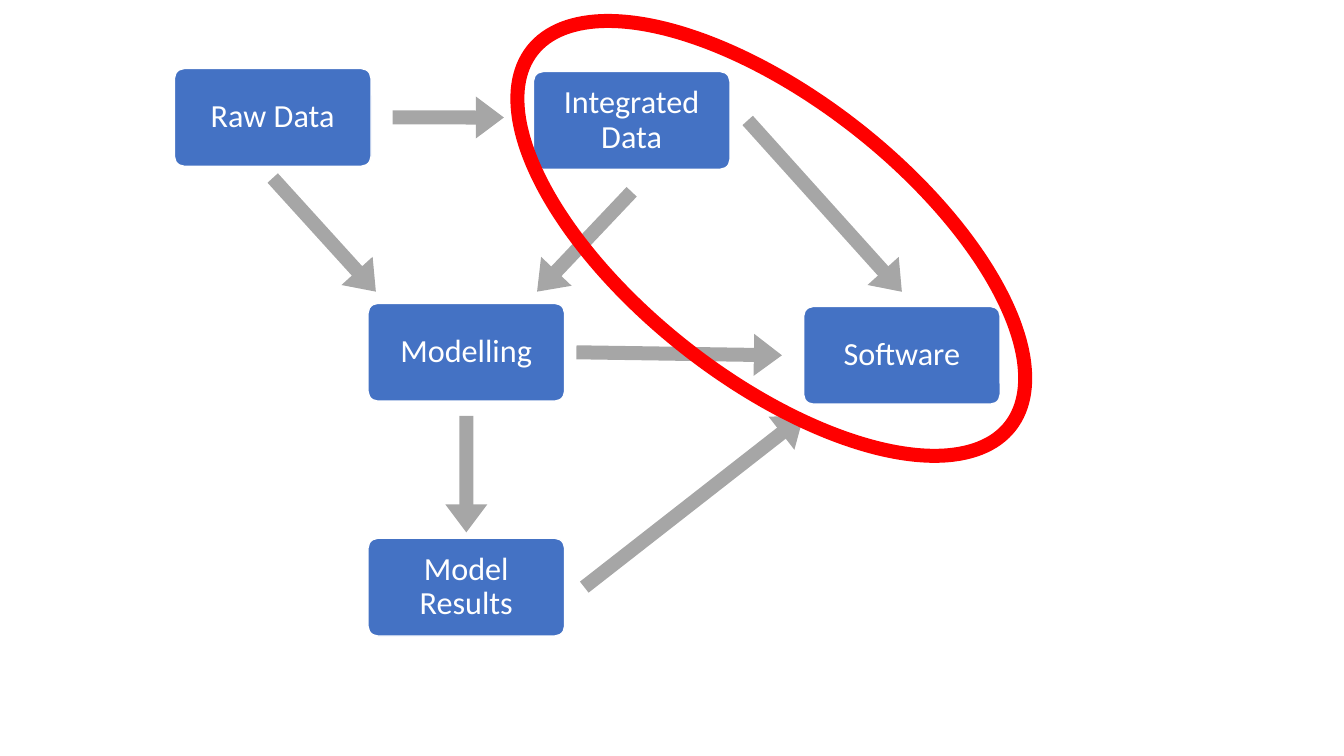
import pptx
import pptx.dml.color
import pptx.enum.shapes
import pptx.enum.text
import pptx.oxml.ns
import pptx.util
from lxml import etree

SLIDE_WIDTH, SLIDE_HEIGHT = 13.33, 7.5
COLORS = {"step": "4472C4", "edge": "FFFFFF", "text": "FFFFFF",
          "flow": "000000", "focus": "FF0000"}
FLOW_OPACITY = "34000"

# Grid of the workflow: column lefts, evenly spaced rows, one step size
COLUMNS = [1.73, 3.65, 5.29, 7.97]
ROW_TOP, ROW_PITCH = 0.68, 2.33
STEP_WIDTH, STEP_HEIGHT = 1.95, 0.97
RIGHT_DROP = 0.03

# Step: column, row, drop below the row
STEPS = {
    "Raw Data": (0, 0, 0),
    "Integrated Data": (2, 0, RIGHT_DROP),
    "Modelling": (1, 1, 0),
    "Software": (3, 1, RIGHT_DROP),
    "Model Results": (1, 2, 0),
}

# Flow: start step and point, end step and point, as shares of the step's box
FLOWS = [
    ("Raw Data", (1.11, 0.5), "Integrated Data", (-0.15, 0.47)),
    ("Raw Data", (0.5, 1.12), "Modelling", (0.04, -0.12)),
    ("Model Results", (1.1, 0.5), "Software", (0, 1.12)),
    ("Modelling", (0.5, 1.15), "Model Results", (0.5, -0.06)),
    ("Integrated Data", (0.5, 1.23), "Modelling", (0.86, -0.12)),
    ("Modelling", (1.06, 0.5), "Software", (-0.11, 0.5)),
    ("Integrated Data", (1.09, 0.5), "Software", (0.5, -0.15)),
]


def color(key):
    return pptx.dml.color.RGBColor.from_string(COLORS[key])


def inches(*lengths):
    return [pptx.util.Inches(length) for length in lengths]


def write_text(frame, text, size=23, font="Calibri", ink="text", spacing=0.9, inset=0.13):
    frame.word_wrap = True
    frame.vertical_anchor = pptx.enum.text.MSO_ANCHOR.MIDDLE
    frame.margin_left = frame.margin_right = pptx.util.Inches(inset)
    frame.margin_top = frame.margin_bottom = pptx.util.Inches(inset)
    paragraph = frame.paragraphs[0]
    paragraph.alignment = pptx.enum.text.PP_ALIGN.CENTER
    paragraph.line_spacing = spacing
    run = paragraph.add_run()
    run.text = text
    run.font.size = pptx.util.Pt(size)
    run.font.name = font
    run.font.color.rgb = color(ink)


def step_box(name):
    column, row, drop = STEPS[name]
    return COLUMNS[column], ROW_TOP + row * ROW_PITCH + drop, STEP_WIDTH, STEP_HEIGHT


def point_in(box, shares):
    left, top, width, height = box
    return left + shares[0] * width, top + shares[1] * height


def add_step(slide, name, box):
    step = slide.shapes.add_shape(
        pptx.enum.shapes.MSO_SHAPE.ROUNDED_RECTANGLE, *inches(*box))
    step.adjustments[0] = 0.1
    step.shadow.inherit = False
    step.fill.solid()
    step.fill.fore_color.rgb = color("step")
    step.line.color.rgb = color("edge")
    step.line.width = pptx.util.Pt(1)
    write_text(step.text_frame, name)


def add_flow(slide, start, end):
    flow = slide.shapes.add_connector(
        pptx.enum.shapes.MSO_CONNECTOR.STRAIGHT, *inches(*start, *end))
    flow.line.color.rgb = color("flow")
    flow.line.width = pptx.util.Pt(10)
    # Transparency, arrowhead and no shadow
    qn = pptx.oxml.ns.qn
    properties = flow._element.spPr
    outline = properties.find(qn("a:ln"))
    ink = outline.find(qn("a:solidFill")).find(qn("a:srgbClr"))
    etree.SubElement(ink, qn("a:alpha"), val=FLOW_OPACITY)
    etree.SubElement(outline, qn("a:tailEnd"), type="triangle", w="med", len="sm")
    etree.SubElement(properties, qn("a:effectLst"))


def add_focus_ring(slide, box, rotation):
    ring = slide.shapes.add_shape(pptx.enum.shapes.MSO_SHAPE.OVAL, *inches(*box))
    ring.rotation = rotation
    ring.shadow.inherit = False
    ring.fill.background()
    ring.line.color.rgb = color("focus")
    ring.line.width = pptx.util.Pt(10)


def add_workflow(slide):
    for name in STEPS:
        add_step(slide, name, step_box(name))
    for source, start, target, end in FLOWS:
        add_flow(slide, point_in(step_box(source), start), point_in(step_box(target), end))
    # Ring around Integrated Data and Software
    add_focus_ring(slide, (6.27, -0.65, 2.76, 6.03), 308.2)


def main():
    deck = pptx.Presentation()
    deck.slide_width, deck.slide_height = inches(SLIDE_WIDTH, SLIDE_HEIGHT)
    blank_layout = deck.slide_layouts[6]
    add_workflow(deck.slides.add_slide(blank_layout))
    deck.save("out.pptx")


if __name__ == "__main__":
    main()
